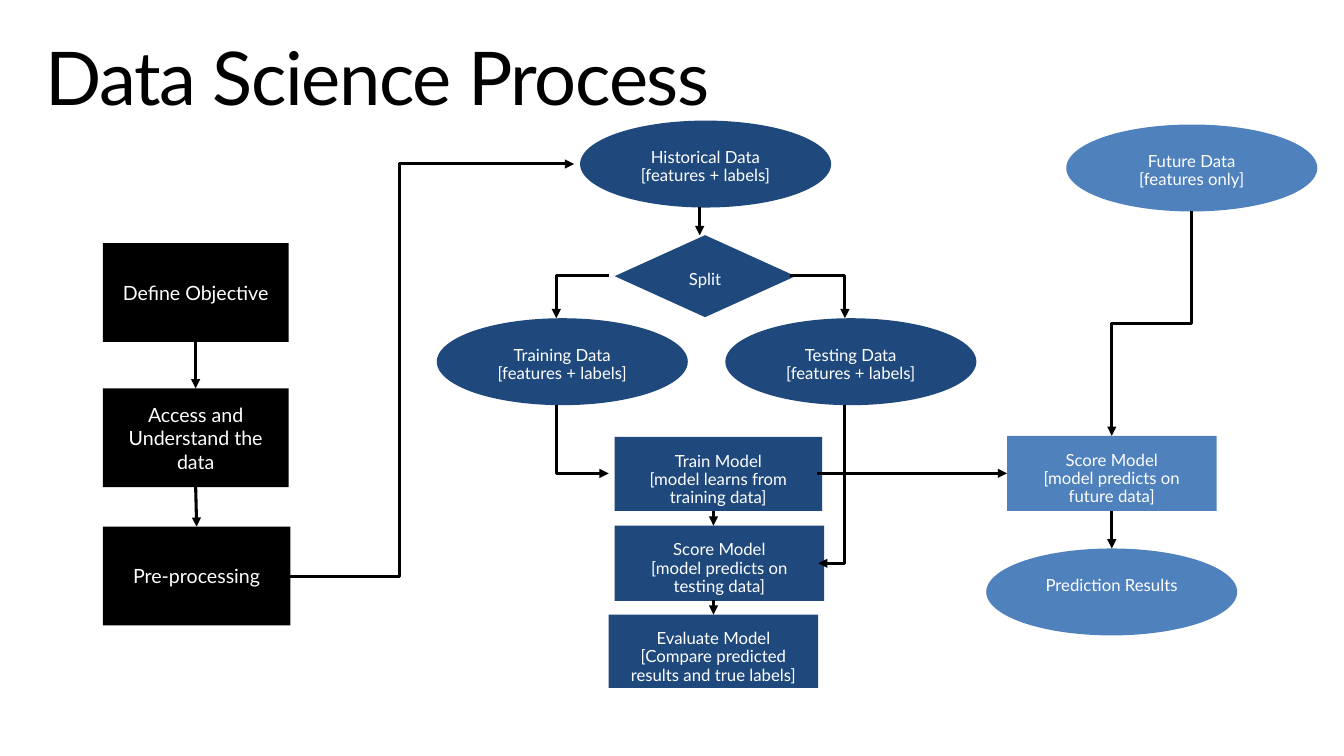
from lxml.etree import SubElement
from pptx import Presentation
from pptx.dml.color import RGBColor
from pptx.enum.shapes import MSO_CONNECTOR, MSO_SHAPE
from pptx.enum.text import MSO_ANCHOR, MSO_AUTO_SIZE, PP_ALIGN
from pptx.oxml.ns import qn
from pptx.util import Pt

PX = 9144  # EMU per px, 100 px to the inch
COLORS = {
    "black": "000000",
    "white": "FFFFFF",
    "navy": "1F497D",
    "blue": "4F81BD",
}
RGB = {name: RGBColor.from_string(value) for name, value in COLORS.items()}


def write(sp, lines, size, color="white", align=PP_ALIGN.CENTER,
          anchor=MSO_ANCHOR.TOP, inset=(20, 16), spacing=0.9):
    """Fill a shape with one paragraph per line; inset is (side, top/bottom) px."""
    tf = sp.text_frame
    tf.word_wrap = True
    tf.auto_size = MSO_AUTO_SIZE.NONE
    tf.vertical_anchor = anchor
    tf.margin_left = tf.margin_right = inset[0] * PX
    tf.margin_top = tf.margin_bottom = inset[1] * PX
    for i, line in enumerate(lines):
        p = tf.paragraphs[0] if i == 0 else tf.add_paragraph()
        p.alignment = align
        p.line_spacing = spacing
        r = p.add_run()
        r.text = line
        r.font.name = "Lato"
        r.font.size = Pt(size)
        r.font.color.rgb = RGB[color]


def arrow(start, end, bends=0, down_first=False, bend_at=None):
    """Draw an arrow with 0, 1 or 2 right-angle bends."""
    (x1, y1), (x2, y2) = start, end
    if down_first:  # lay the path out sideways, then turn it by 90 degrees
        cx, cy = (x1 + x2) / 2, (y1 + y2) / 2
        dx, dy = (x2 - x1) / 2, (y2 - y1) / 2
        x1, y1, x2, y2 = cx - dy, cy + dx, cx + dy, cy - dx
    kind = MSO_CONNECTOR.ELBOW if bends else MSO_CONNECTOR.STRAIGHT
    cxn = slide.shapes.add_connector(kind, *(int(v * PX) for v in (x1, y1, x2, y2)))
    cxn.line.color.rgb = RGB["black"]
    cxn.line.width = Pt(2.25)
    spPr = cxn._element.spPr
    SubElement(spPr.find(qn("a:ln")), qn("a:tailEnd"), type="triangle")
    SubElement(spPr, qn("a:effectLst"))
    geom = spPr.find(qn("a:prstGeom"))
    if bends == 1:
        geom.set("prst", "bentConnector2")
    if bend_at:
        SubElement(geom.find(qn("a:avLst")), qn("a:gd"),
                   name="adj1", fmla=f"val {int(bend_at * 100000)}")
    if down_first:
        spPr.find(qn("a:xfrm")).set("rot", "5400000")
    return cxn


prs = Presentation()
prs.slide_width, prs.slide_height = 1360 * PX, 765 * PX
slide = prs.slides.add_slide(prs.slide_layouts[5])

title = slide.shapes.title
title.left, title.top, title.width, title.height = 30 * PX, 32 * PX, 1300 * PX, 100 * PX
write(title, ["Data Science Process"], 54, color="black", align=PP_ALIGN.LEFT,
      inset=(16, 10))
title.text_frame.paragraphs[0].runs[0].font._element.set("spc", "-100")

RECT, OVAL, DIAMOND = MSO_SHAPE.RECTANGLE, MSO_SHAPE.OVAL, MSO_SHAPE.DIAMOND
LABELLED = "[features + labels]"
nodes = [
    ("define", RECT, "black", (104, 246, 188, 100), ["Define Objective"]),
    ("access", RECT, "black", (104, 393, 188, 100), ["Access and Understand the data"]),
    ("prepare", RECT, "black", (104, 533, 190, 100), ["Pre-processing"]),
    ("historical", OVAL, "navy", (587, 122, 254, 88), ["Historical Data", LABELLED]),
    ("training", OVAL, "navy", (442, 322, 254, 88), ["Training Data", LABELLED]),
    ("testing", OVAL, "navy", (734, 322, 254, 88), ["Testing Data", LABELLED]),
    ("future", OVAL, "blue", (1079, 126, 254, 88), ["Future Data", "[features only]"]),
    ("split", DIAMOND, "navy", (622, 238, 183, 83), ["Split"]),
    ("train", RECT, "navy", (622, 442, 210, 75),
     ["Train Model", "[model learns from training data]"]),
    ("score test", RECT, "navy", (622, 532, 212, 76),
     ["Score Model", "[model predicts on testing data]"]),
    ("evaluate", RECT, "navy", (616, 622, 212, 74),
     ["Evaluate Model", "[Compare predicted results and true labels]"]),
    ("score future", RECT, "blue", (1019, 441, 212, 76),
     ["Score Model", "[model predicts on future data]"]),
    ("results", OVAL, "blue", (998, 555, 254, 88), ["Prediction Results"]),
]
node = {}
for name, kind, color, box, lines in nodes:
    sp = slide.shapes.add_shape(kind, *(v * PX for v in box))
    sp.shadow.inherit = False
    sp.fill.solid()
    sp.fill.fore_color.rgb = RGB[color]
    sp.line.fill.background()
    if color == "black":
        write(sp, lines, 14.3, anchor=MSO_ANCHOR.MIDDLE, inset=(10, 5), spacing=1.0)
    else:
        write(sp, lines, 12.2)
    node[name] = sp

# Straight arrows: start, end, joined start and end as (node, side)
TOP, LEFT, BOTTOM = 0, 1, 2
straight = [
    ((198, 346), (198, 393), ("define", BOTTOM), ("access", TOP)),
    ((198, 493), (199, 533), ("access", BOTTOM), ("prepare", TOP)),
    ((708, 209), (708, 238), None, None),
    ((722, 517), (722, 532), None, None),
    ((722, 607), (722, 622), None, ("evaluate", TOP)),
    ((827, 479), (1019, 479), None, ("score future", LEFT)),
    ((1125, 517), (1125, 555), ("score future", BOTTOM), ("results", TOP)),
]
for start, end, source, target in straight:
    cxn = arrow(start, end)
    if source:
        cxn.begin_connect(node[source[0]], source[1])
    if target:
        cxn.end_connect(node[target[0]], target[1])

arrow((616, 279), (563, 322), bends=1)
arrow((799, 279), (855, 322), bends=1)
arrow((563, 410), (616, 479), bends=1, down_first=True)
arrow((855, 410), (828, 570), bends=1, down_first=True)
arrow((1206, 214), (1125, 441), bends=2, down_first=True)
arrow((293, 583), (581, 166), bends=2, bend_at=0.386)

prs.save("out.pptx")
